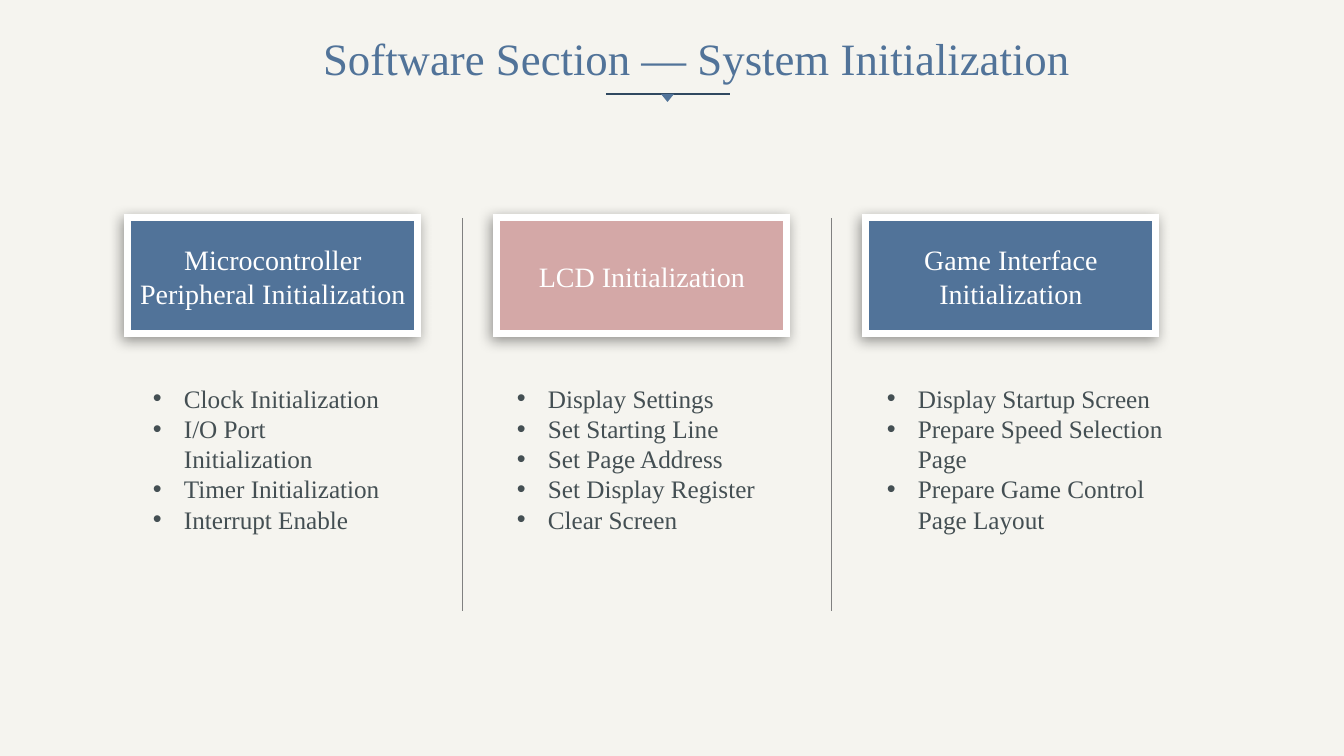
from dataclasses import dataclass

from lxml import etree
from pptx import Presentation
from pptx.dml.color import RGBColor
from pptx.enum.shapes import MSO_CONNECTOR, MSO_SHAPE
from pptx.enum.text import MSO_ANCHOR, MSO_AUTO_SIZE, PP_ALIGN
from pptx.oxml.ns import qn
from pptx.util import Emu, Pt

STRAIGHT = MSO_CONNECTOR.STRAIGHT
RECTANGLE, TRIANGLE = MSO_SHAPE.RECTANGLE, MSO_SHAPE.ISOSCELES_TRIANGLE
LEFT, CENTER = PP_ALIGN.LEFT, PP_ALIGN.CENTER
TOP, MIDDLE = MSO_ANCHOR.TOP, MSO_ANCHOR.MIDDLE
GROW = MSO_AUTO_SIZE.SHAPE_TO_FIT_TEXT

EMU_PER_PX = 914400 / 100.8
TITLE_ONLY = 5


def px(length):
    return Emu(round(length * EMU_PER_PX))


@dataclass(frozen=True)
class Theme:
    font: str = "Times New Roman"
    background: str = "F5F4EF"
    blue: str = "517399"
    navy: str = "304860"
    pink: str = "D4A8A7"
    white: str = "FFFFFF"
    gray: str = "808080"
    ink: str = "444F53"
    shadow: str = "000000"
    title_size: int = 32
    card_size: int = 20
    list_size: int = 18


class SlideBuilder:
    def __init__(self, page, theme):
        self.page = page
        self.theme = theme
        fill = page.background.fill
        fill.solid()
        fill.fore_color.rgb = RGBColor.from_string(theme.background)

    def style(self, para, size, color, align=LEFT):
        para.alignment = align
        para.font.name = self.theme.font
        para.font.size = Pt(size)
        para.font.color.rgb = RGBColor.from_string(color)

    def title(self, text, left, top, width, height):
        box = self.page.shapes.title
        box.left, box.top, box.width, box.height = map(px, (left, top, width, height))
        frame = box.text_frame
        frame.text = text
        frame.word_wrap = False
        frame.auto_size = GROW
        frame.vertical_anchor = TOP
        self.style(frame.paragraphs[0], self.theme.title_size, self.theme.blue)

    def line(self, x1, y1, x2, y2, color, weight):
        line = self.page.shapes.add_connector(STRAIGHT, px(x1), px(y1), px(x2), px(y2))
        line.line.color.rgb = RGBColor.from_string(color)
        line.line.width = Pt(weight)
        etree.SubElement(line._element.spPr, qn("a:effectLst"))

    def shape(self, kind, left, top, width, height, color):
        shape = self.page.shapes.add_shape(kind, px(left), px(top), px(width), px(height))
        shape.shadow.inherit = False
        shape.fill.solid()
        shape.fill.fore_color.rgb = RGBColor.from_string(color)
        shape.line.fill.background()
        return shape

    def card(self, text, left, top, width, height, color):
        card = self.shape(RECTANGLE, left, top, width, height, color)
        card.line.color.rgb = RGBColor.from_string(self.theme.white)
        card.line.width = Pt(5)
        properties = card._element.spPr
        etree.SubElement(properties.find(qn("a:ln")), qn("a:miter"), lim="800000")
        self.drop_shadow(properties.find(qn("a:effectLst")))
        frame = card.text_frame
        frame.text = text
        frame.word_wrap = True
        frame.vertical_anchor = MIDDLE
        self.style(frame.paragraphs[0], self.theme.card_size, self.theme.white, CENTER)

    def drop_shadow(self, effects):
        shadow = etree.SubElement(
            effects, qn("a:outerShdw"), blurRad=str(Pt(10)), dist=str(Pt(3)),
            dir=str(135 * 60000), algn="tr", rotWithShape="0")
        color = etree.SubElement(shadow, qn("a:srgbClr"), val=self.theme.shadow)
        etree.SubElement(color, qn("a:alpha"), val="40000")

    def bullets(self, items, left, top, width, height):
        box = self.page.shapes.add_textbox(px(left), px(top), px(width), px(height))
        frame = box.text_frame
        frame.text = "\n".join(items)
        frame.word_wrap = True
        frame.auto_size = GROW
        indent = px(31)
        for para in frame.paragraphs:
            properties = para._p.get_or_add_pPr()
            properties.set("marL", str(indent))
            properties.set("indent", str(-indent))
            etree.SubElement(properties, qn("a:buFont"), typeface="Arial")
            etree.SubElement(properties, qn("a:buChar"), char="•")
            self.style(para, self.theme.list_size, self.theme.ink)


def main():
    theme = Theme()
    deck = Presentation()
    deck.slide_width, deck.slide_height = px(1344), px(756)
    page = deck.slides.add_slide(deck.slide_layouts[TITLE_ONLY])
    builder = SlideBuilder(page, theme)

    # Title with its underline and pointer
    builder.line(606, 94, 730, 94, theme.navy, 1.5)
    pointer = builder.shape(TRIANGLE, 661, 94, 13, 8, theme.blue)
    pointer.rotation = 180
    builder.title("Software Section — System Initialization", 313, 26, 774, 65)

    # Three columns: heading, colour, list left, list width, items
    columns = [
        ("Microcontroller Peripheral Initialization", theme.blue, 143, 258,
         ["Clock Initialization", "I/O Port Initialization",
          "Timer Initialization", "Interrupt Enable"]),
        ("LCD Initialization", theme.pink, 507, 269,
         ["Display Settings", "Set Starting Line", "Set Page Address",
          "Set Display Register", "Clear Screen"]),
        ("Game Interface Initialization", theme.blue, 877, 324,
         ["Display Startup Screen", "Prepare Speed Selection Page",
          "Prepare Game Control Page Layout"]),
    ]
    first_left, pitch, card_top = 128, 369, 218
    for index, (heading, color, list_left, list_width, items) in enumerate(columns):
        left = first_left + index * pitch
        # Divider before every column but the first
        if index:
            divider = left - 35
            builder.line(divider, card_top, divider, 611, theme.gray, 0.25)
        builder.card(heading, left, card_top, 290, 116, color)
        builder.bullets(items, list_left, 378, list_width, 163)

    deck.save("out.pptx")


if __name__ == "__main__":
    main()
